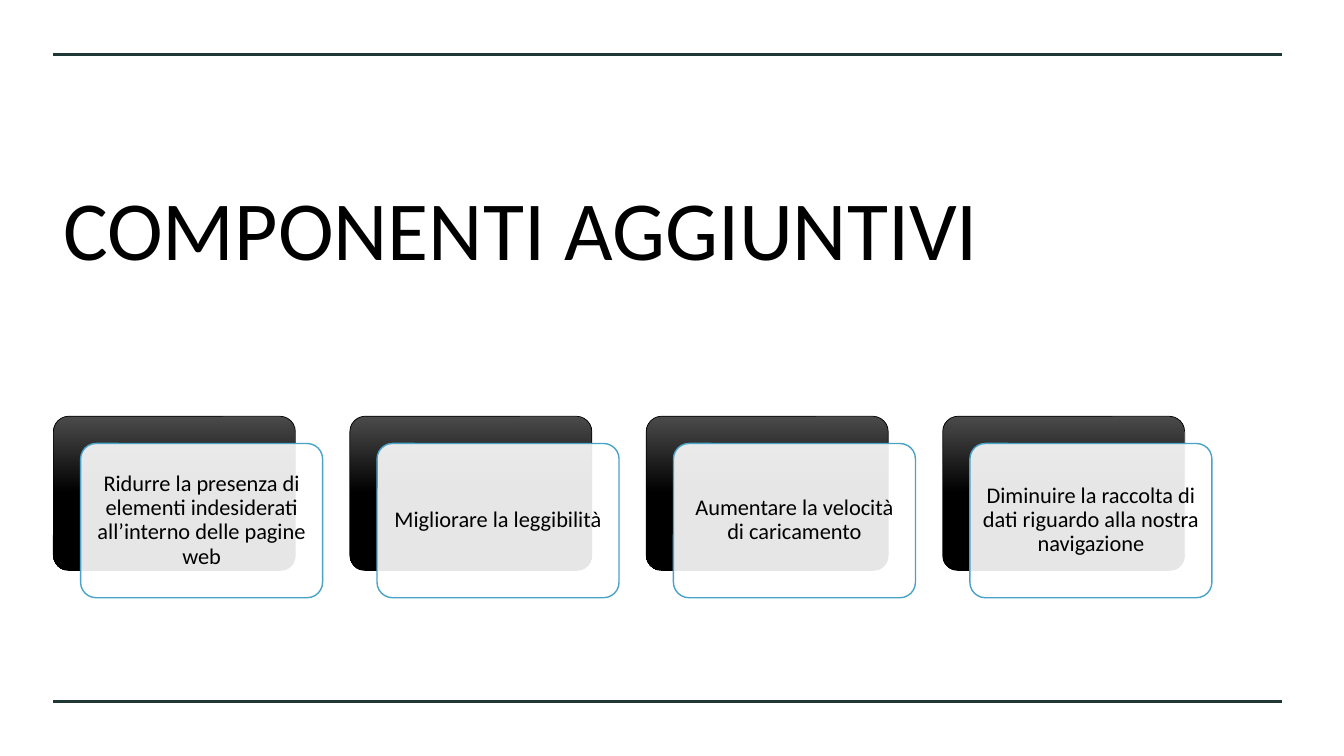
import pptx
import pptx.dml.color
import pptx.enum.shapes
import pptx.enum.text
import pptx.oxml.ns
import pptx.util
from lxml import etree

Inches = pptx.util.Inches
Pt = pptx.util.Pt
RGBColor = pptx.dml.color.RGBColor
qn = pptx.oxml.ns.qn

BLACK = RGBColor(0x00, 0x00, 0x00)
CHARCOAL = RGBColor(0x4B, 0x4B, 0x4B)
WHITE = RGBColor(0xFF, 0xFF, 0xFF)
DARK_GREEN = RGBColor(0x20, 0x38, 0x35)
BLUE = RGBColor(0x49, 0xA3, 0xC7)

LEFT = 0.53
CARD_TOP = 4.13
CARD_STEP = 2.94
FRONT_OFFSET = 0.27
GOALS = [
    "Ridurre la presenza di elementi indesiderati all’interno delle pagine web",
    "Migliorare la leggibilità",
    "Aumentare la velocità di caricamento",
    "Diminuire la raccolta di dati riguardo alla nostra navigazione",
]


class SlideBuilder:
    font_name = "Calibri"
    card_width, card_height = 2.4, 1.53

    def __init__(self, slide):
        self.slide = slide

    def set_text(self, shape, text, size):
        text_frame = shape.text_frame
        text_frame.text = text
        text_frame.word_wrap = True
        text_frame.vertical_anchor = pptx.enum.text.MSO_ANCHOR.MIDDLE
        font = text_frame.paragraphs[0].runs[0].font
        font.name, font.size, font.color.rgb = self.font_name, Pt(size), BLACK
        return text_frame

    def rule(self, top):
        connector = self.slide.shapes.add_connector(
            pptx.enum.shapes.MSO_CONNECTOR.STRAIGHT,
            Inches(LEFT), Inches(top), Inches(12.72), Inches(top))
        connector.line.color.rgb = DARK_GREEN
        connector.line.width = Pt(2.25)
        etree.SubElement(connector._element.spPr, qn("a:effectLst"))

    def title(self, text):
        box = self.slide.shapes.add_textbox(
            Inches(LEFT), Inches(1.07), Inches(11.63), Inches(2.36))
        self.set_text(box, text, 60)

    def rounded_card(self, left, top, line_color, line_width):
        shape = self.slide.shapes.add_shape(
            pptx.enum.shapes.MSO_SHAPE.ROUNDED_RECTANGLE, Inches(left),
            Inches(top), Inches(self.card_width), Inches(self.card_height))
        shape.adjustments[0] = 0.1
        shape.shadow.inherit = False
        shape.line.color.rgb = line_color
        shape.line.width = Pt(line_width)
        return shape

    def back_card(self, left, top):
        fill = self.rounded_card(left, top, BLACK, 0.5).fill
        fill.gradient()
        fill.gradient_angle = 270
        for stop, position, color in zip(
                fill.gradient_stops, (0, 0.5), (CHARCOAL, BLACK)):
            stop.position = position
            stop.color.rgb = color

    def front_card(self, left, top, text):
        shape = self.rounded_card(left, top, BLUE, 1)
        shape.fill.solid()
        shape.fill.fore_color.rgb = WHITE
        # Slight transparency lets the dark card show through
        color = shape._element.spPr.find(qn("a:solidFill"))[0]
        etree.SubElement(color, qn("a:alpha")).set("val", "90000")

        text_frame = self.set_text(shape, text, 16)
        text_frame.margin_left = text_frame.margin_right = Inches(0.07)
        text_frame.margin_top = text_frame.margin_bottom = Inches(0.07)
        paragraph = text_frame.paragraphs[0]
        paragraph.alignment = pptx.enum.text.PP_ALIGN.CENTER
        paragraph.line_spacing = 0.9


def main():
    presentation = pptx.Presentation()
    presentation.slide_width = Inches(13.33)
    presentation.slide_height = Inches(7.5)
    builder = SlideBuilder(
        presentation.slides.add_slide(presentation.slide_layouts[6]))

    # Frame lines and title
    for top in (0.54, 6.96):
        builder.rule(top)
    builder.title("COMPONENTI AGGIUNTIVI")

    # Row of layered cards
    for index, goal in enumerate(GOALS):
        left = LEFT + index * CARD_STEP
        builder.back_card(left, CARD_TOP)
        builder.front_card(left + FRONT_OFFSET, CARD_TOP + FRONT_OFFSET, goal)

    presentation.save("out.pptx")


if __name__ == "__main__":
    main()
